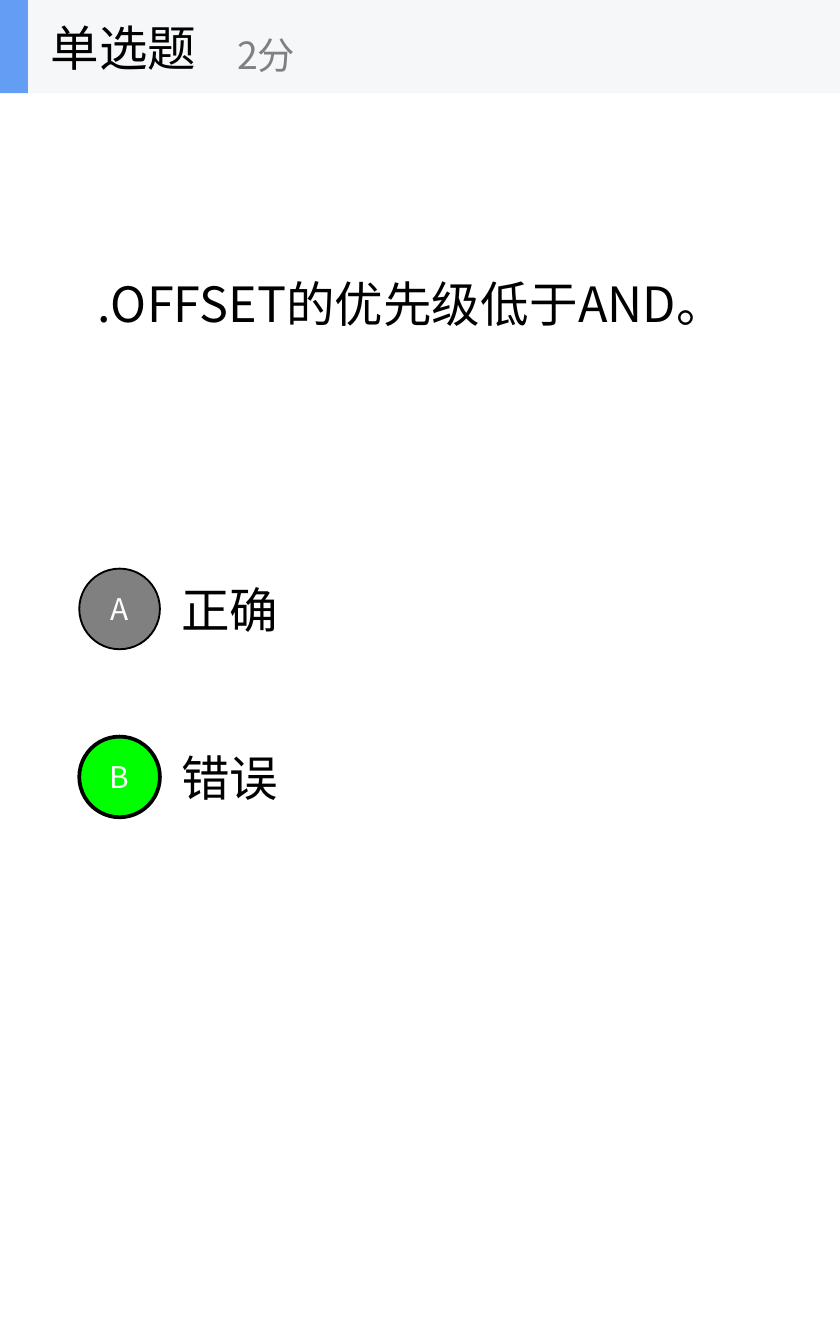
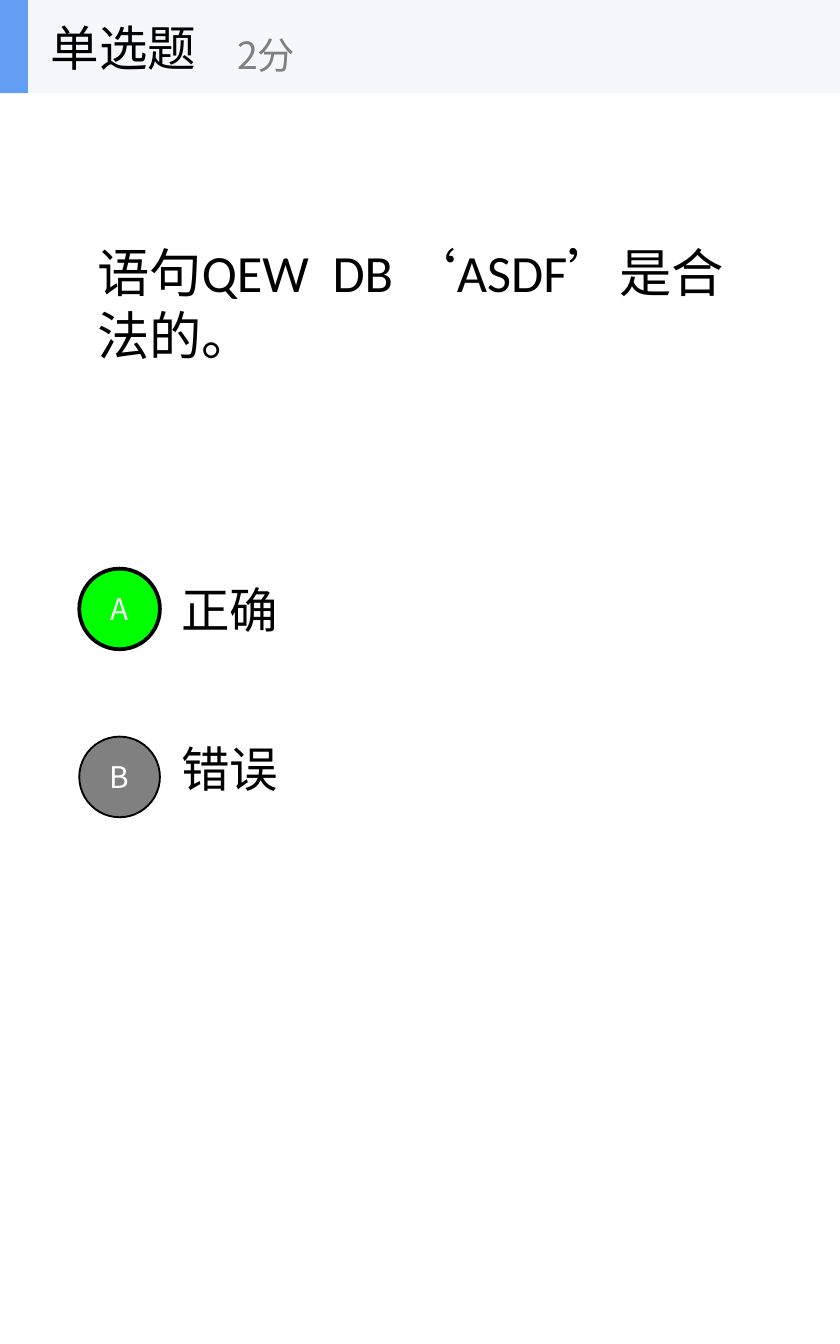
from pptx import Presentation
from pptx.dml.color import RGBColor
from pptx.enum.lang import MSO_LANGUAGE_ID
from pptx.enum.shapes import MSO_SHAPE
from pptx.enum.text import MSO_ANCHOR, MSO_AUTO_SIZE, PP_ALIGN
from pptx.oxml.ns import qn
from pptx.util import Pt
from lxml import etree

WIDTH, HEIGHT = 450, 720
CJK = "Noto Sans CJK SC"
BLACK, WHITE, GRAY = "000000", "FFFFFF", "808080"
BAND, ACCENT, CORRECT = "F6F7F8", "639EF4", "00FF00"
HEADER_BOX = (0, 0, WIDTH, 50)
QUESTION_BOX = (45, 50, 360, 225)
OPTION_BOX = (42.5, 292.5, 362.5, 67.5)
OPTION_PITCH = 90
BADGE = 43.2


def rgb(value):
    return RGBColor.from_string(value)


def points(box):
    return [Pt(v) for v in box]


def write(sp, text, size, color=BLACK, font=CJK, align=PP_ALIGN.LEFT):
    tf = sp.text_frame
    tf.word_wrap = True
    tf.auto_size = MSO_AUTO_SIZE.NONE
    tf.vertical_anchor = MSO_ANCHOR.MIDDLE
    p = tf.paragraphs[0]
    p.alignment = align
    r = p.add_run()
    r.text = text
    r.font.size = Pt(size)
    r.font.color.rgb = rgb(color)
    r.font.name = font
    r.font.language_id = MSO_LANGUAGE_ID.SIMPLIFIED_CHINESE
    etree.SubElement(r.font._element, qn("a:ea")).set("typeface", CJK)


def add_label(shapes, box, text, size, color=BLACK):
    write(shapes.add_textbox(*points(box)), text, size, color)


def add_filled(shapes, kind, box, fill, line_width=0):
    sp = shapes.add_shape(kind, *points(box))
    sp.shadow.inherit = False
    sp.fill.solid()
    sp.fill.fore_color.rgb = rgb(fill)
    if line_width:
        sp.line.color.rgb = rgb(BLACK)
        sp.line.width = Pt(line_width)
    else:
        sp.line.fill.background()
    return sp


def add_header(s, box, kind, score):
    x, y, w, h = box
    shapes = s.shapes.add_group_shape().shapes
    add_filled(shapes, MSO_SHAPE.RECTANGLE, box, BAND)
    add_filled(shapes, MSO_SHAPE.RECTANGLE, (x, y, 15, h), ACCENT)
    add_label(shapes, (x + 20, y, 150, h), kind, 26)
    add_label(shapes, (x + 120, y + 9, 180, h - 9.5), score, 20, GRAY)


def add_question(s, box, text, size, font):
    title = s.shapes.title
    title.left, title.top, title.width, title.height = points(box)
    write(title, text, size, font=font)


def add_option(s, box, letter, text, correct, shift):
    x, y, w, h = box
    badge = (x, y + (h - BADGE) / 2, BADGE, BADGE)
    sp = add_filled(s.shapes, MSO_SHAPE.OVAL, badge,
                    CORRECT if correct else GRAY, 2 if correct else 1)
    write(sp, letter, 16, WHITE, align=PP_ALIGN.CENTER)
    add_label(s.shapes, (x + 47.5, y + shift, w - 47.5, h), text, 26)


def add_quiz_slide(prs, question, answer, size=26, font=CJK, shifts=(0, 0)):
    s = prs.slides.add_slide(prs.slide_layouts[5])
    s.background.fill.solid()
    s.background.fill.fore_color.rgb = rgb(WHITE)
    add_question(s, QUESTION_BOX, question, size, font)
    x, y, w, h = OPTION_BOX
    for i, (letter, text) in enumerate(zip("AB", ("正确", "错误"))):
        add_option(s, (x, y + i * OPTION_PITCH, w, h), letter, text,
                   letter == answer, shifts[i])
    add_header(s, HEADER_BOX, "单选题", "2分")


prs = Presentation()
prs.slide_width, prs.slide_height = Pt(WIDTH), Pt(HEIGHT)
add_quiz_slide(prs, ".OFFSET的优先级低于AND。", "B")
add_quiz_slide(prs, "语句QEW  DB ‘ASDF’是合法的。", "A", 28, "Calibri", (0, -5))
prs.save("out.pptx")
